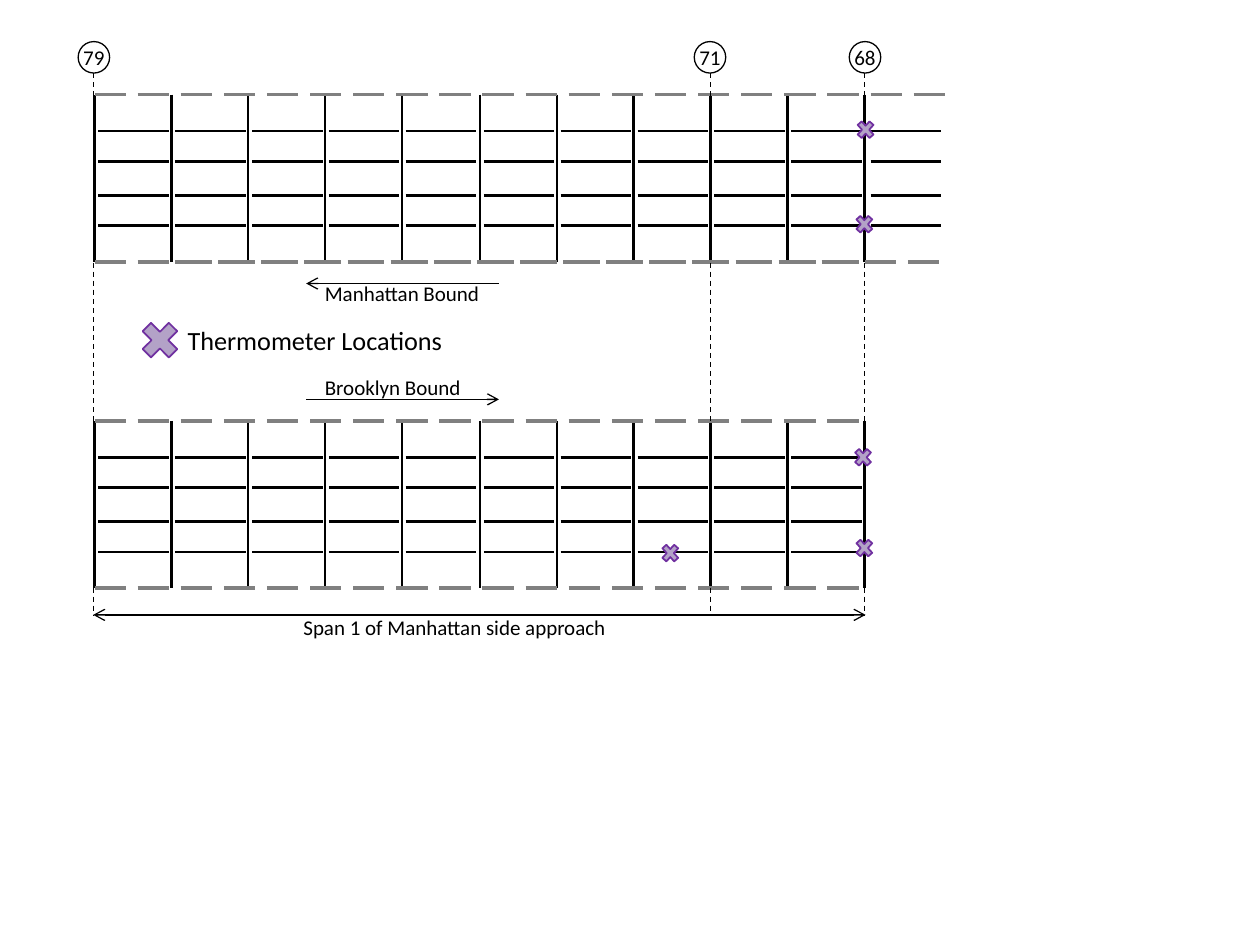
"""Build the bridge deck plan slide with thermometer locations."""
from typing import NamedTuple

from lxml.etree import SubElement
from pptx import Presentation
from pptx.dml.color import RGBColor
from pptx.enum.dml import MSO_LINE
from pptx.enum.shapes import MSO_CONNECTOR, MSO_SHAPE
from pptx.enum.text import MSO_ANCHOR, PP_ALIGN
from pptx.oxml.ns import qn
from pptx.util import Pt

PX = 9144
COLORS = {"ink": "000000", "edge": "808080", "mark": "B3A2C7", "mark_line": "7030A0"}
FONT = "Calibri"

LEFT, RIGHT, BAYS = 75, 686, 10
BEAMS = [LEFT + round((RIGHT - LEFT) * i / BAYS) for i in range(BAYS + 1)]
STRINGER_OFFSETS = (29, 53, 80, 104)
STRINGER_LENGTH, STRINGER_GAP = 56, 3
DECK_HEIGHT = 133
MANHATTAN_TOP, BROOKLYN_TOP = 75, 334
SPAN_Y = 488


class Pen(NamedTuple):
    color: str
    width: float
    dash: MSO_LINE | None = None


class Axis(NamedTuple):
    label: str
    left: int
    x: int


class Marker(NamedTuple):
    left: int
    top: int
    width: int = 18
    height: int = 20


class Arrow(NamedTuple):
    start: int
    end: int
    y: int
    ends: tuple[str, ...]


class Label(NamedTuple):
    text: str
    left: int
    top: int
    width: int
    height: int = 30
    size: int = 12
    anchor: MSO_ANCHOR = MSO_ANCHOR.TOP


BEAM = Pen("ink", 1.5)
EDGE = Pen("edge", 2.25, MSO_LINE.LONG_DASH)
THIN = Pen("ink", 0.75)
AXIS = Pen("ink", 0.75, MSO_LINE.DASH)

AXES = [Axis("79", 62, 74), Axis("68", 674, 686), Axis("71", 551, 564)]
MARKERS = [
    Marker(677, 425), Marker(676, 353), Marker(677, 168), Marker(678, 93),
    Marker(523, 429), Marker(107, 250, 40, 40),
]
ARROWS = [
    Arrow(396, 243, 225, ("tailEnd",)),
    Arrow(243, 396, 317, ("tailEnd",)),
    Arrow(74, 687, SPAN_Y, ("headEnd", "tailEnd")),
]
LABELS = [
    Label("Manhattan Bound", 248, 218, 144),
    Label("Span 1 of Manhattan side approach", 231, 483, 324),
    Label("Brooklyn Bound", 248, 292, 144),
    Label("Thermometer Locations", 139, 252, 306, 35, 15, MSO_ANCHOR.MIDDLE),
]


def rgb(name: str) -> RGBColor:
    return RGBColor.from_string(COLORS[name])


def draw_line(s, x1: int, y1: int, x2: int, y2: int, pen: Pen, ends: tuple[str, ...] = ()) -> None:
    sp = s.shapes.add_connector(MSO_CONNECTOR.STRAIGHT, x1 * PX, y1 * PX, x2 * PX, y2 * PX)
    sp.line.color.rgb = rgb(pen.color)
    sp.line.width = Pt(pen.width)
    if pen.dash is not None:
        sp.line.dash_style = pen.dash
    sp_pr = sp._element.spPr
    for end in ends:
        SubElement(sp_pr.find(qn("a:ln")), qn(f"a:{end}"), type="arrow")
    SubElement(sp_pr, qn("a:effectLst"))


def write(sp, text: str, size: int, anchor: MSO_ANCHOR) -> None:
    tf = sp.text_frame
    tf.word_wrap = True
    tf.vertical_anchor = anchor
    tf.text = text
    font = tf.paragraphs[0].runs[0].font
    font.name, font.size = FONT, Pt(size)
    font.color.rgb = rgb("ink")


def draw_stringers(s, x: int, top: int) -> None:
    for offset in STRINGER_OFFSETS:
        draw_line(s, x, top + offset, x + STRINGER_LENGTH, top + offset, BEAM)


def draw_deck(s, top: int) -> None:
    bottom = top + DECK_HEIGHT
    for x in BEAMS:
        draw_line(s, x, top, x, bottom, BEAM)
    for x in BEAMS[:-1]:
        draw_stringers(s, x + STRINGER_GAP, top)
    for y in (top, bottom):
        draw_line(s, LEFT, y, RIGHT, y, EDGE)


def draw_next_bay(s) -> None:
    bottom = MANHATTAN_TOP + DECK_HEIGHT
    draw_stringers(s, 691, MANHATTAN_TOP)
    draw_line(s, 691, MANHATTAN_TOP, 750, MANHATTAN_TOP, EDGE)
    draw_line(s, 139, bottom, 750, bottom, EDGE)


def draw_axis(s, axis: Axis) -> None:
    sp = s.shapes.add_shape(MSO_SHAPE.OVAL, axis.left * PX, 33 * PX, 25 * PX, 25 * PX)
    sp.shadow.inherit = False
    sp.fill.background()
    sp.line.color.rgb = rgb("ink")
    sp.line.width = Pt(0.75)
    write(sp, axis.label, 12, MSO_ANCHOR.MIDDLE)
    tf = sp.text_frame
    tf.margin_left = tf.margin_right = 0
    tf.paragraphs[0].alignment = PP_ALIGN.CENTER
    draw_line(s, axis.x, 58, axis.x, SPAN_Y, AXIS)


def draw_marker(s, marker: Marker) -> None:
    sp = s.shapes.add_shape(MSO_SHAPE.MATH_MULTIPLY, *(v * PX for v in marker))
    sp.shadow.inherit = False
    sp.fill.solid()
    sp.fill.fore_color.rgb = rgb("mark")
    sp.line.color.rgb = rgb("mark_line")
    sp.line.width = Pt(1)


def draw_label(s, label: Label) -> None:
    sp = s.shapes.add_textbox(*(v * PX for v in label[1:5]))
    write(sp, label.text, label.size, label.anchor)


def main() -> None:
    prs = Presentation()
    prs.slide_width, prs.slide_height = 1000 * PX, 750 * PX
    s = prs.slides.add_slide(prs.slide_layouts[6])
    for top in (MANHATTAN_TOP, BROOKLYN_TOP):
        draw_deck(s, top)
    draw_next_bay(s)
    for axis in AXES:
        draw_axis(s, axis)
    for marker in MARKERS:
        draw_marker(s, marker)
    for arrow in ARROWS:
        draw_line(s, arrow.start, arrow.y, arrow.end, arrow.y, THIN, arrow.ends)
    for label in LABELS:
        draw_label(s, label)
    prs.save("out.pptx")


if __name__ == "__main__":
    main()
